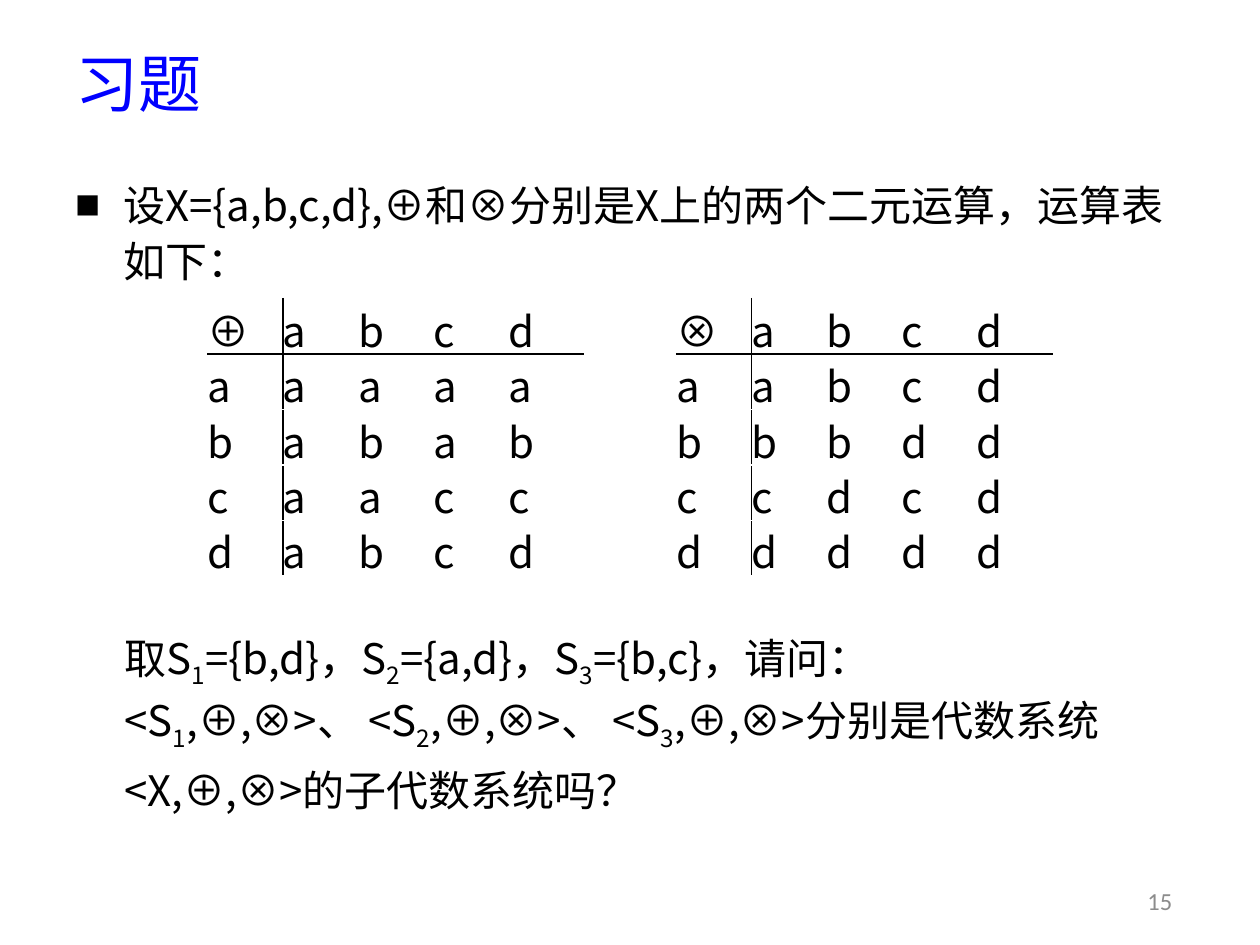
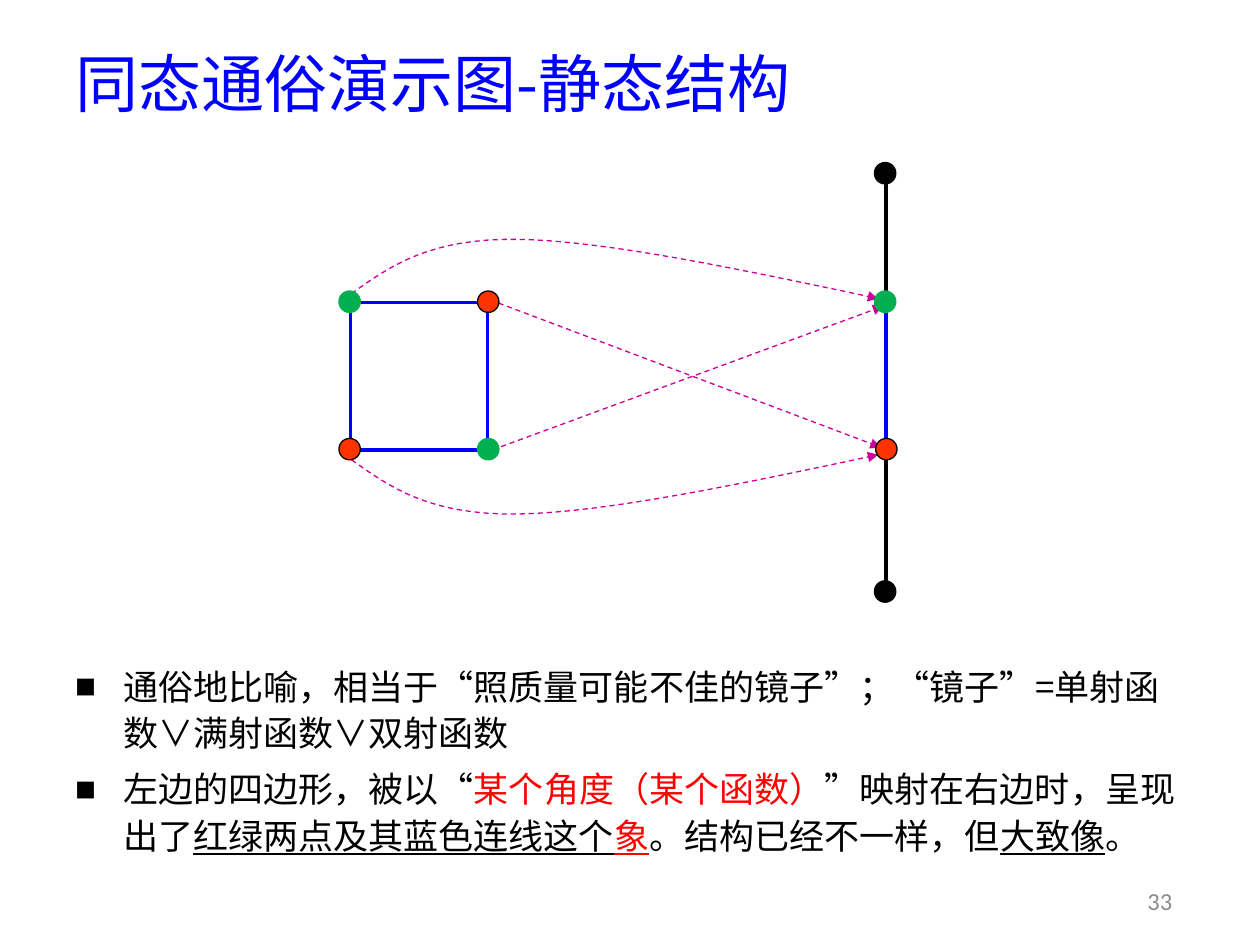
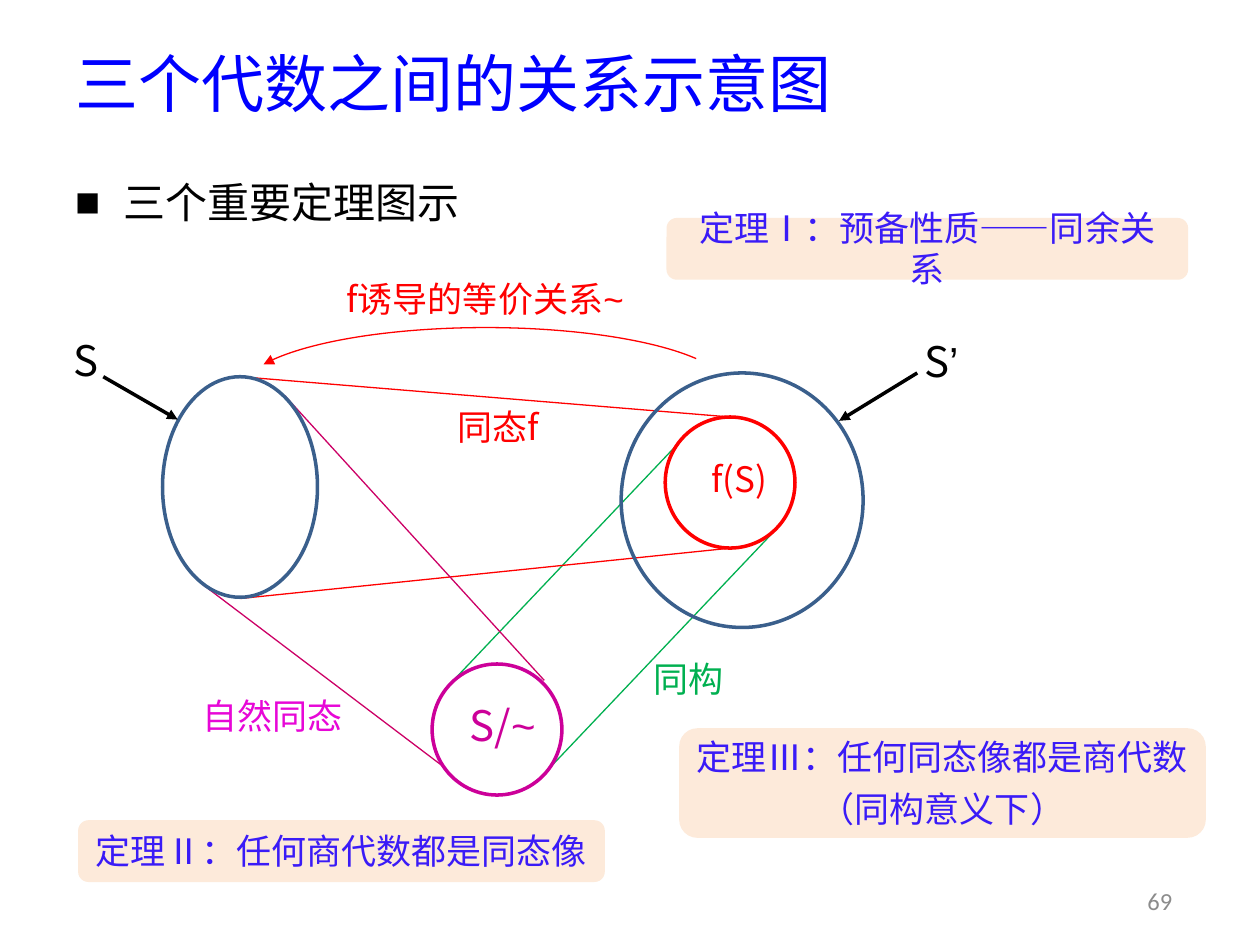
from lxml.etree import SubElement
from pptx import Presentation
from pptx.dml.color import RGBColor
from pptx.enum.dml import MSO_LINE
from pptx.enum.shapes import MSO_CONNECTOR, MSO_SHAPE
from pptx.enum.text import MSO_ANCHOR, PP_ALIGN
from pptx.oxml.ns import qn
from pptx.util import Pt

# Scale: 100 px to the inch
PX = 9144

BLACK = RGBColor(0x00, 0x00, 0x00)
BLUE = RGBColor(0x00, 0x00, 0xFF)
RED = RGBColor(0xFF, 0x00, 0x00)
ORANGE = RGBColor(0xFF, 0x33, 0x00)
GREEN = RGBColor(0x00, 0xB0, 0x50)
MAGENTA = RGBColor(0xCC, 0x00, 0x99)
CRIMSON = RGBColor(0xCC, 0x00, 0x66)
PINK = RGBColor(0xE7, 0x07, 0xD7)
STEEL = RGBColor(0x3A, 0x5F, 0x8C)
VIOLET = RGBColor(0x3A, 0x1B, 0xF7)
PEACH = RGBColor(0xFD, 0xEA, 0xDA)
GREY = RGBColor(0x8C, 0x8C, 0x8C)

FONT = "Noto Sans CJK SC"


def styled(text, color=None, underline=None, font=None, baseline=None):
    """A piece of text that differs from its paragraph."""
    return text, color, underline, font, baseline


def subscript(number):
    return styled(str(number), baseline=-25000)


class Deck:
    def __init__(self):
        self.prs = Presentation()
        self.prs.slide_width = 1000 * PX
        self.prs.slide_height = 750 * PX
        self.slide = None

    def new_slide(self, title, number):
        self.slide = self.prs.slides.add_slide(self.prs.slide_layouts[6])
        self.text((50, 31, 900, 69), [[title]], 36, BLUE, anchor=MSO_ANCHOR.MIDDLE)
        self.label((891, 695, 59, 40), [str(number)], GREY, 14, "Calibri")

    # Text
    def paragraph(self, paragraph, pieces, size, color, font=FONT):
        paragraph.font.size = Pt(size)
        paragraph.font.color.rgb = color
        paragraph.font.name = font
        defaults = paragraph._p.pPr.find(qn("a:defRPr"))
        SubElement(defaults, qn("a:ea")).set("typeface", font)
        for piece in pieces:
            if piece == "\n":
                paragraph.add_line_break()
                continue
            text, tint, underline, face, baseline = (
                styled(piece) if isinstance(piece, str) else piece)
            run = paragraph.add_run()
            run.text = text
            if tint is not None:
                run.font.color.rgb = tint
            if underline:
                run.font.underline = True
            if face:
                run.font.name = face
            if baseline:
                run.font._element.set("baseline", str(baseline))

    def fill_frame(self, frame, paragraphs, size, color, font=FONT, align=PP_ALIGN.LEFT,
                   pitch=None, bullet=False, gap=6):
        for index, pieces in enumerate(paragraphs):
            paragraph = frame.add_paragraph() if index else frame.paragraphs[0]
            if bullet:
                self.bullet(paragraph)
            paragraph.alignment = align
            if pitch:
                paragraph.line_spacing = Pt(pitch)
            if index:
                paragraph.space_before = Pt(gap)
            self.paragraph(paragraph, pieces, size, color, font)

    def bullet(self, paragraph):
        properties = paragraph._p.get_or_add_pPr()
        properties.set("marL", str(38 * PX))
        properties.set("indent", str(-38 * PX))
        SubElement(properties, qn("a:buSzPct")).set("val", "60000")
        SubElement(properties, qn("a:buFont")).set("typeface", FONT)
        SubElement(properties, qn("a:buChar")).set("char", "■")

    def text(self, box, paragraphs, size, color, wrap=True, anchor=MSO_ANCHOR.TOP, **style):
        frame = self.slide.shapes.add_textbox(*(v * PX for v in box)).text_frame
        frame.word_wrap = wrap
        frame.vertical_anchor = anchor
        self.fill_frame(frame, paragraphs, size, color, **style)

    def label(self, box, pieces, color, size=20, font=FONT):
        self.text(box, [pieces], size, color, wrap=False, anchor=MSO_ANCHOR.MIDDLE,
                  font=font, align=PP_ALIGN.CENTER)

    # Lines
    def stroke(self, line, color, width, dashed=False, head=False, tail=False):
        line.color.rgb = color
        line.width = Pt(width)
        if dashed:
            line.dash_style = MSO_LINE.DASH
        for tag, wanted in (("a:headEnd", head), ("a:tailEnd", tail)):
            if wanted:
                SubElement(line._get_or_add_ln(), qn(tag)).set("type", "triangle")

    def line(self, x1, y1, x2, y2, color, width=0.75, **ends):
        connector = self.slide.shapes.add_connector(
            MSO_CONNECTOR.STRAIGHT, x1 * PX, y1 * PX, x2 * PX, y2 * PX)
        self.stroke(connector.line, color, width, **ends)
        SubElement(connector._element.spPr, qn("a:effectLst"))

    def curve(self, start, cubics, color, steps=16):
        """Dashed arrow along cubic curves, each given as three points."""
        points = [start]
        for cubic in cubics:
            p0, p1, p2, p3 = points[-1], *cubic
            for step in range(1, steps + 1):
                t = step / steps
                u = 1 - t
                points.append(tuple(
                    u**3 * a + 3 * u * u * t * b + 3 * u * t * t * c + t**3 * d
                    for a, b, c, d in zip(p0, p1, p2, p3)))
        points = [(round(x * PX), round(y * PX)) for x, y in points]
        builder = self.slide.shapes.build_freeform(*points[0])
        builder.add_line_segments(points[1:], close=False)
        outline = builder.convert_to_shape()
        outline.shadow.inherit = False
        outline.fill.background()
        self.stroke(outline.line, color, 0.75, dashed=True, tail=True)

    # Shapes
    def shape(self, kind, box, fill=None, edge=None, width=2, **ends):
        shape = self.slide.shapes.add_shape(kind, *(v * PX for v in box))
        shape.shadow.inherit = False
        if fill is None:
            shape.fill.background()
        else:
            shape.fill.solid()
            shape.fill.fore_color.rgb = fill
        if edge is None:
            shape.line.fill.background()
        else:
            self.stroke(shape.line, edge, width, **ends)
        return shape

    def node(self, x, y, fill, edge):
        self.shape(MSO_SHAPE.FLOWCHART_CONNECTOR, (x, y, 17, 17), fill, edge, 0.75)

    def theorem(self, box, *lines):
        frame = self.shape(MSO_SHAPE.ROUNDED_RECTANGLE, box, PEACH).text_frame
        frame.word_wrap = True
        frame.vertical_anchor = MSO_ANCHOR.MIDDLE
        self.fill_frame(frame, [[line] for line in lines], 20, VIOLET,
                        align=PP_ALIGN.CENTER, pitch=23.5)

    # Operation tables
    def border(self, cell, *sides):
        for side in sides:
            edge = SubElement(cell._tc.get_or_add_tcPr(), qn(f"a:{side}"), w=str(Pt(1)))
            fill = SubElement(edge, qn("a:solidFill"))
            SubElement(fill, qn("a:srgbClr")).set("val", str(BLACK))

    def operation_table(self, left, rows):
        size = len(rows)
        table = self.slide.shapes.add_table(
            size, size, left * PX, 237 * PX, 298 * PX, 220 * PX).table
        table.first_row = table.horz_banding = False
        for r, row in enumerate(rows):
            for c, symbol in enumerate(row):
                cell = table.cell(r, c)
                cell.margin_left = cell.margin_right = 0
                cell.margin_top = cell.margin_bottom = 0
                cell.vertical_anchor = MSO_ANCHOR.MIDDLE
                edges = {"lnL": c == 1, "lnR": c == 0, "lnT": r == 1, "lnB": r == 0}
                self.border(cell, *(side for side, drawn in edges.items() if drawn))
                cell.fill.background()
                self.paragraph(cell.text_frame.paragraphs[0], [symbol], 24, BLACK)


def exercise(deck):
    deck.new_slide("习题", 15)
    deck.text((50, 133, 900, 100),
              [["设X={a,b,c,d},⊕和⊗分别是X上的两个二元运算，运算表如下："]],
              24, BLACK, pitch=32, bullet=True)

    # Question about the three subsets
    question = ["取"]
    for i, members in enumerate(("b,d", "a,d", "b,c"), 1):
        question += ["S", subscript(i), f"={{{members}}}，"]
    question += ["请问：", "\n"]
    for i, ending in enumerate(("、 ", "、 ", "分别是代数系统<X,⊕,⊗>的子代数系统吗？"), 1):
        question += ["<S", subscript(i), ",⊕,⊗>" + ending]
    deck.text((89, 493, 861, 160), [question], 24, BLACK, pitch=35.7)

    deck.operation_table(165, ("⊕abcd", "aaaaa", "babab", "caacc", "dabcd"))
    deck.operation_table(537, ("⊗abcd", "aabcd", "bbbdd", "ccdcd", "ddddd"))


def homomorphism(deck):
    deck.new_slide("同态通俗演示图-静态结构", 33)

    # Mapping arrows; the lower curve mirrors the upper one
    deck.line(391, 357, 701, 243, MAGENTA, dashed=True, tail=True)
    deck.line(389, 238, 699, 355, MAGENTA, dashed=True, tail=True)
    start = (279, 233)
    cubics = (((310, 211), (341, 189), (411, 190)), ((480, 191), (589, 214), (697, 237)))
    deck.curve(start, cubics, MAGENTA)
    deck.curve((start[0], 598 - start[1]),
               [[(x, 598 - y) for x, y in cubic] for cubic in cubics], MAGENTA)

    # Square on the left, axis on the right
    for x in (278, 387, 703):
        deck.line(x, 245, x, 352, BLUE, 2)
    for y in (240, 357):
        deck.line(284, y, 382, y, BLUE, 2)
    for top, bottom in ((131, 237), (358, 464)):
        deck.line(703, top, 703, bottom, BLACK, 2)
    for x, y in ((269, 231), (379, 348), (694, 231)):
        deck.node(x, y, GREEN, GREEN)
    for x, y in ((379, 231), (269, 348), (695, 348)):
        deck.node(x, y, ORANGE, BLACK)
    for y in (129, 461):
        deck.node(694, y, BLACK, BLACK)

    # Explanation
    deck.text((50, 520, 893, 166), [
        ["通俗地比喻，相当于“照质量可能不佳的镜子”；“镜子”=单射函数∨满射函数∨双射函数"],
        ["左边的四边形，被以“", styled("某个角度（某个函数）", RED), "”映射在右边时，呈现出了",
         styled("红绿两点及其蓝色连线这个", underline=True), styled("象", RED, True),
         "。结构已经不一样，但", styled("大致像", underline=True), "。"],
    ], 20, BLACK, pitch=26.3, bullet=True)


def three_algebras(deck):
    deck.new_slide("三个代数之间的关系示意图", 69)
    deck.text((50, 131, 502, 58), [["三个重要定理图示"]], 24, BLACK, pitch=32, bullet=True)

    # Tangent lines between the sets
    for ends, color in (((358, 542, 543, 347), GREEN), ((431, 615, 616, 420), GREEN),
                        ((191, 299, 580, 331), RED), ((191, 475, 580, 435), RED),
                        ((161, 464, 354, 610), CRIMSON), ((226, 314, 432, 540), CRIMSON)):
        deck.line(*ends, color)

    # Sets
    for box, color in (((528, 331, 103, 104), RED), ((129, 299, 123, 175), STEEL),
                       ((493, 296, 192, 202), STEEL), ((343, 527, 103, 104), MAGENTA)):
        deck.shape(MSO_SHAPE.OVAL, box, edge=color)

    # Induced relation
    arc = deck.shape(MSO_SHAPE.ARC, (191, 260, 389, 101), edge=RED, width=0.75, head=True)
    arc.adjustments[0] = 112.14
    arc.adjustments[1] = 210.72

    # Names
    tilde = styled("~", font="Arial")
    deck.label((506, 514, 81, 49), ["同构"], GREEN)
    deck.label((338, 314, 115, 49), ["同态f"], RED)
    deck.label((548, 355, 78, 49), ["f(S)"], RED)
    deck.label((137, 543, 158, 49), ["自然同态"], PINK)
    deck.label((256, 212, 258, 49), ["f诱导的等价关系", tilde], RED)
    deck.label((42, 261, 52, 49), ["S"], BLACK, 24)
    deck.label((721, 262, 52, 49), ["S", styled("’", font="Arial")], BLACK, 24)
    deck.label((360, 551, 78, 49), ["S/", tilde], MAGENTA, 24)
    deck.line(728, 296, 666, 334, BLACK, 2, tail=True)
    deck.line(82, 299, 141, 333, BLACK, 2, tail=True)

    # Theorems
    deck.theorem((539, 578, 418, 87), "定理Ⅲ：任何同态像都是商代数", "（同构意义下）")
    deck.theorem((529, 173, 414, 49), "定理Ⅰ：预备性质——同余关系")
    deck.theorem((62, 651, 418, 49), "定理Ⅱ：任何商代数都是同态像")


def main():
    deck = Deck()
    exercise(deck)
    homomorphism(deck)
    three_algebras(deck)
    deck.prs.save("out.pptx")


if __name__ == "__main__":
    main()
